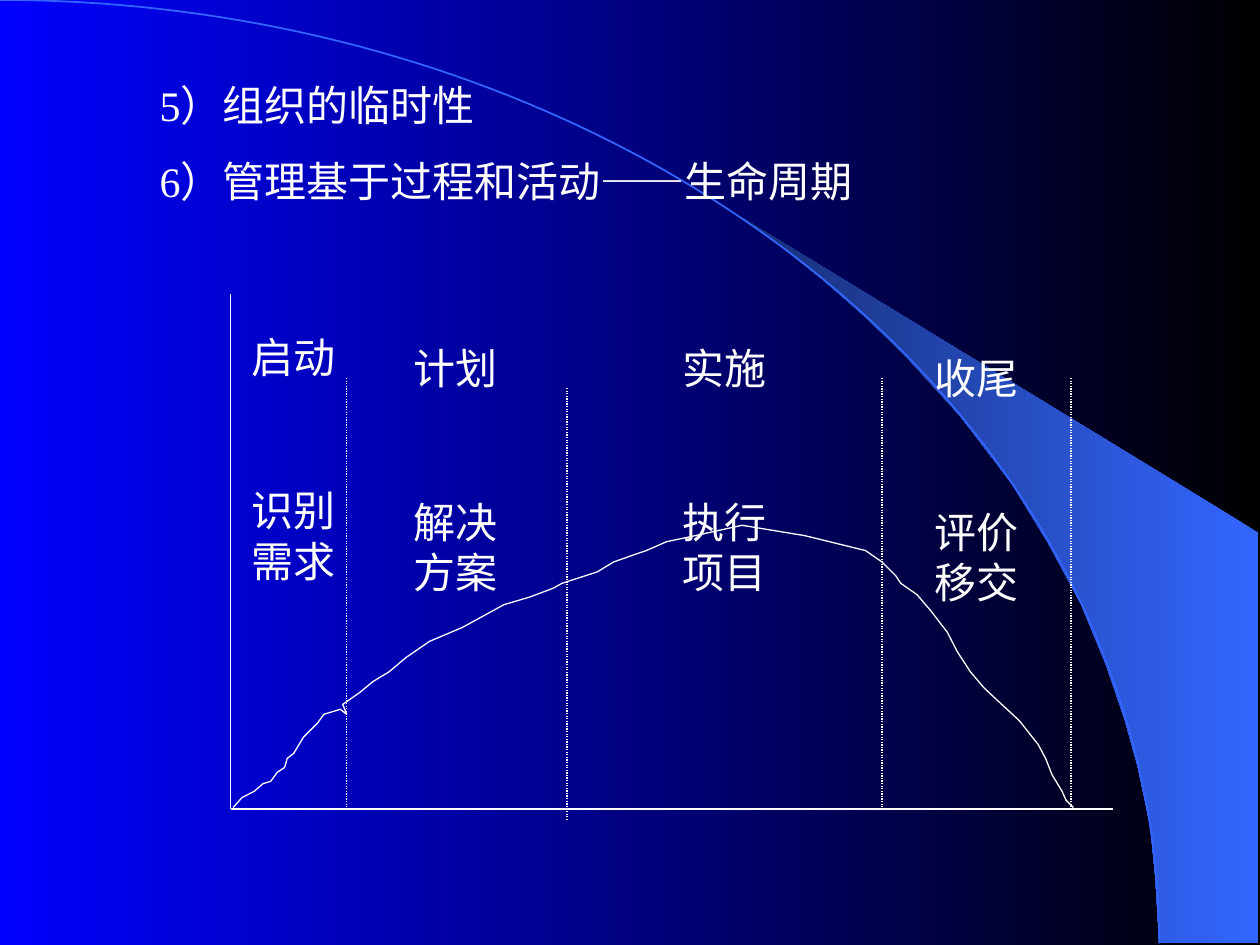
from math import cos, pi, sin

from lxml.etree import SubElement
from pptx import Presentation
from pptx.dml.color import RGBColor
from pptx.enum.dml import MSO_LINE
from pptx.enum.shapes import MSO_CONNECTOR
from pptx.enum.text import PP_ALIGN
from pptx.oxml.ns import qn
from pptx.util import Cm, Pt


def color(value):
    return RGBColor.from_string(value)


class Deck:
    font = "Times New Roman"
    size = 24
    ink = "FFFFFF"
    accent = "3366FF"
    line_width = 0.75

    def __init__(self, width, height):
        self.prs = Presentation()
        self.prs.slide_width = Cm(width)
        self.prs.slide_height = Cm(height)
        self.s = None

    def slide(self, start, end):
        self.s = self.prs.slides.add_slide(self.prs.slide_layouts[6])
        self.gradient(self.s.background.fill, start, end)

    def gradient(self, fill, start, end):
        fill.gradient()
        fill.gradient_angle = 180
        for stop, value in zip(fill.gradient_stops, (start, end)):
            stop.color.rgb = color(value)

    def outline(self, points, close=False):
        first, *rest = [(Cm(x), Cm(y)) for x, y in points]
        builder = self.s.shapes.build_freeform(*first, scale=1.0)
        builder.add_line_segments(rest, close=close)
        sp = builder.convert_to_shape()
        sp.shadow.inherit = False
        return sp

    def area(self, points, start, end):
        sp = self.outline(points, close=True)
        self.gradient(sp.fill, start, end)
        sp.line.fill.background()

    def curve(self, points, value=None, width=None):
        sp = self.outline(points)
        sp.fill.background()
        sp.line.color.rgb = color(value or self.ink)
        sp.line.width = Pt(width or self.line_width)

    def line(self, x1, y1, x2, y2, dash=None):
        sp = self.s.shapes.add_connector(
            MSO_CONNECTOR.STRAIGHT, Cm(x1), Cm(y1), Cm(x2), Cm(y2))
        sp.line.color.rgb = color(self.ink)
        sp.line.width = Pt(self.line_width)
        if dash:
            sp.line.dash_style = dash
        SubElement(sp._element.spPr, qn("a:effectLst"))

    def text(self, x, y, w, h, lines, gap, align=PP_ALIGN.LEFT):
        tf = self.s.shapes.add_textbox(Cm(x), Cm(y), Cm(w), Cm(h)).text_frame
        tf.word_wrap = True
        for i, line in enumerate(lines):
            p = tf.add_paragraph() if i else tf.paragraphs[0]
            p.alignment = align
            p.space_before = Pt(gap if i else 0)
            r = p.add_run()
            r.text = line
            r.font.name = self.font
            r.font.size = Pt(self.size)
            r.font.color.rgb = color(self.ink)

    def save(self):
        self.prs.save("out.pptx")


WEDGE = [
    (23.37, 19), (25.37, 19.02), (25.37, 10.74), (14.96, 4.39), (15.85, 5.05),
    (16.59, 5.64), (17.4, 6.35), (18.19, 7.11), (19.35, 8.38), (20.4, 9.75),
    (21.13, 10.95), (21.79, 12.17), (22.3, 13.41), (22.68, 14.53),
    (22.94, 15.47), (23.19, 16.66), (23.29, 17.68),
]
EFFORT = [
    (4.7, 16.28), (4.88, 16.08), (5.13, 15.95), (5.3, 15.8), (5.46, 15.75),
    (5.59, 15.57), (5.74, 15.47), (5.79, 15.29), (5.92, 15.19),
    (6.12, 14.86), (6.4, 14.58), (6.53, 14.4), (6.86, 14.3), (6.99, 14.4),
    (6.91, 14.2), (7.24, 13.97), (7.52, 13.74), (7.85, 13.54), (8.18, 13.26),
    (8.66, 12.93), (9.32, 12.65), (10.16, 12.19), (10.67, 12.04),
    (11.15, 11.86), (11.33, 11.76), (12.04, 11.53), (12.37, 11.33),
    (12.88, 11.15), (13.03, 11.1), (13.44, 10.92), (13.92, 10.82),
    (14.96, 10.59), (16.23, 10.8), (17.45, 11.1), (17.78, 11.33),
    (18.06, 11.61), (18.16, 11.76), (18.49, 11.99), (18.77, 12.32),
    (19.1, 12.75), (19.3, 13.14), (19.56, 13.54), (19.84, 13.87),
    (20.14, 14.15), (20.55, 14.53), (20.93, 15.01), (21.08, 15.29),
    (21.21, 15.62), (21.41, 15.95), (21.49, 16.13), (21.64, 16.28),
]
DIVIDERS = [(6.99, 7.62), (11.43, 7.82), (17.78, 7.62), (21.59, 7.62)]
DIVIDER_LENGTH = 8.69
STAGES = [
    (4.65, 6.55, 2.54, "启动", "识别需求"),
    (7.82, 6.78, 2.74, "计划", "解决方案"),
    (13.13, 6.78, 2.97, "实施", "执行项目"),
    (18.21, 6.99, 2.97, "收尾", "评价移交"),
]
AXIS_X, AXIS_Y = 4.65, 16.31
ARC_WIDTH, ARC_HEIGHT, ARC_STEPS = 23.37, 19.02, 90


def main():
    deck = Deck(25.4, 19.05)
    deck.slide("000000", "0000FF")
    deck.area(WEDGE, deck.accent, "172F75")
    angles = [pi / 2 * i / ARC_STEPS for i in range(ARC_STEPS + 1)]
    arc = [(ARC_WIDTH * sin(a), ARC_HEIGHT * (1 - cos(a))) for a in angles]
    deck.curve(arc, deck.accent, 1)

    deck.text(2.97, 1.47, 16.51, 2.82,
              ["5）组织的临时性", "6）管理基于过程和活动——生命周期"], 15)

    deck.line(AXIS_X, AXIS_Y, 22.43, AXIS_Y)
    deck.line(AXIS_X, AXIS_Y, AXIS_X, 5.92)
    for x, top in DIVIDERS:
        deck.line(x, top, x, top + DIVIDER_LENGTH, MSO_LINE.ROUND_DOT)
    deck.curve(EFFORT)

    for x, y, w, stage, task in STAGES:
        deck.text(x, y, w, 5.38, [stage, task], 59, PP_ALIGN.CENTER)
    deck.save()


if __name__ == "__main__":
    main()
